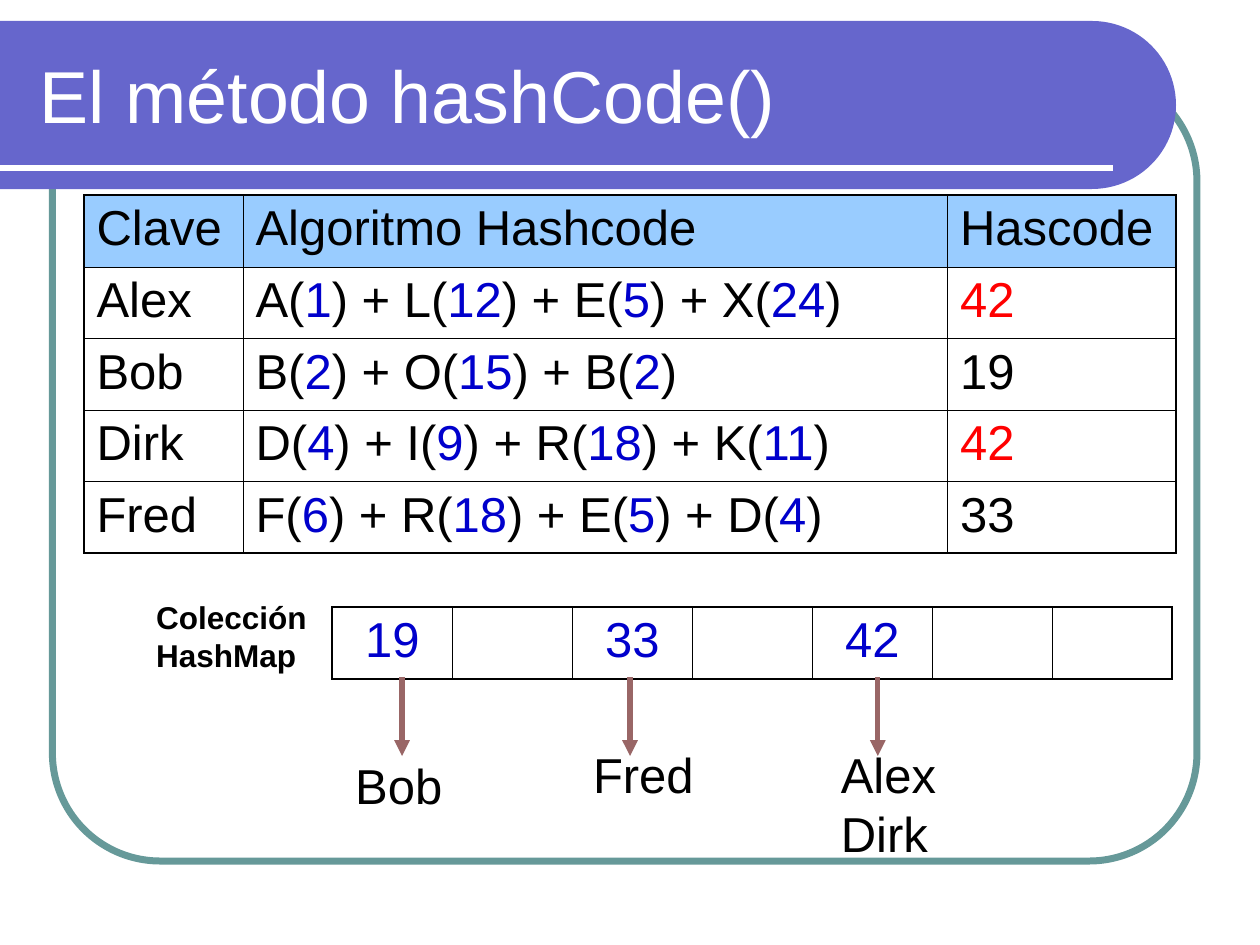
import itertools
import math

import pptx
import pptx.dml.color
import pptx.enum.shapes
import pptx.enum.text
import pptx.oxml
import pptx.oxml.ns
import pptx.util

COLS, ROWS = 120, 90
SHAPE = pptx.enum.shapes.MSO_SHAPE
ALIGN = pptx.enum.text.PP_ALIGN
FIT = pptx.enum.text.MSO_AUTO_SIZE
NS = pptx.oxml.ns.nsdecls("a")


def tint(code):
    return pptx.dml.color.RGBColor.from_string(code)


def write(frame, text, size=28, color="000000", digit=None, bold=False,
          align=ALIGN.LEFT):
    """Fill a text frame; digits take their own colour if one is given."""
    for i, line in enumerate(text.split("\n")):
        para = frame.add_paragraph() if i else frame.paragraphs[0]
        para.alignment = align
        parts = itertools.groupby(line, str.isdigit) if digit else [(False, line)]
        for number, chars in parts:
            run = para.add_run()
            run.text = "".join(chars)
            font = run.font
            font.name, font.size, font.bold = "Arial", pptx.util.Pt(size), bold
            font.color.rgb = tint(digit if number else color)


class Deck:
    ink, blue, red = "000000", "0000CC", "FF0000"
    band, frame, head, arrow = "6666CC", "669999", "99CCFF", "996666"
    thin, thick = 0.45, 1.08

    def __init__(self):
        self.show = pptx.Presentation()
        self.show.slide_width = pptx.util.Inches(10)
        self.show.slide_height = pptx.util.Inches(7.5)
        self.slide = self.show.slides.add_slide(self.show.slide_layouts[5])
        self.shapes = self.slide.shapes

    def x(self, col):
        return round(self.show.slide_width * col / COLS)

    def y(self, row):
        return round(self.show.slide_height * row / ROWS)

    def box(self, col, row, wide, high):
        return self.x(col), self.y(row), self.x(wide), self.y(high)

    def border(self, *area, round_by):
        shape = self.shapes.add_shape(SHAPE.ROUNDED_RECTANGLE, *self.box(*area))
        shape.adjustments[0] = round_by
        shape.shadow.inherit = False
        shape.fill.background()
        shape.line.color.rgb = tint(self.frame)
        shape.line.width = pptx.util.Pt(4)

    def banner(self, top, wide, high, steps=48):
        """Band from the left edge, ending in a half circle."""
        rad = high / 2
        turns = [math.pi * (i / steps - 0.5) for i in range(steps + 1)]
        arc = [(self.x(wide - rad + rad * math.cos(t)),
                self.y(top + rad + rad * math.sin(t))) for t in turns]
        path = self.shapes.build_freeform(0, self.y(top))
        path.add_line_segments(arc + [(0, self.y(top + high))], close=True)
        shape = path.convert_to_shape()
        shape.shadow.inherit = False
        shape.fill.solid()
        shape.fill.fore_color.rgb = tint(self.band)
        shape.line.fill.background()

    def line(self, x1, y1, x2, y2, color, arrow=False):
        link = self.shapes.add_connector(
            pptx.enum.shapes.MSO_CONNECTOR.STRAIGHT,
            self.x(x1), self.y(y1), self.x(x2), self.y(y2))
        link.line.color.rgb = tint(color)
        link.line.width = pptx.util.Pt(3)
        if arrow:
            link.line._get_or_add_ln().append(
                pptx.oxml.parse_xml(f'<a:tailEnd {NS} type="triangle"/>'))
        link._element.spPr.append(pptx.oxml.parse_xml(f"<a:effectLst {NS}/>"))

    def title(self, text, *area):
        shape = self.shapes.title
        shape.left, shape.top, shape.width, shape.height = self.box(*area)
        self.shapes._spTree.append(shape._element)
        frame = shape.text_frame
        frame.auto_size = FIT.NONE
        frame.vertical_anchor = pptx.enum.text.MSO_ANCHOR.MIDDLE
        write(frame, text, size=42, color="FFFFFF")

    def label(self, text, *area, **form):
        frame = self.shapes.add_textbox(*self.box(*area)).text_frame
        frame.word_wrap = False
        frame.auto_size = FIT.SHAPE_TO_FIT_TEXT
        write(frame, text, **form)

    def edges(self, cell, outer):
        """Thick lines on the sides named in outer, thin on the others."""
        for side in "LRTB":
            width = pptx.util.Pt(self.thick if side in outer else self.thin)
            cell._tc.get_or_add_tcPr().append(pptx.oxml.parse_xml(
                f'<a:ln{side} {NS} w="{int(width)}"><a:solidFill>'
                f'<a:srgbClr val="{self.ink}"/></a:solidFill></a:ln{side}>'))

    def table(self, data, left, top, widths, high, form, head=False):
        """form(row, col, text) gives the format of each cell's text."""
        rows, cols = len(data), len(widths)
        table = self.shapes.add_table(rows, cols, *self.box(
            left, top, sum(widths), high * rows)).table
        table.first_row = table.horz_banding = False
        for c, wide in enumerate(widths):
            table.columns[c].width = self.x(wide)
        for r, texts in enumerate(data):
            table.rows[r].height = self.y(high)
            for c, text in enumerate(texts):
                cell = table.cell(r, c)
                self.edges(cell, "L" * (c == 0) + "R" * (c == cols - 1)
                           + "T" * (r == 0) + "B" * (r == rows - 1))
                if head and r == 0:
                    cell.fill.solid()
                    cell.fill.fore_color.rgb = tint(self.head)
                else:
                    cell.fill.background()
                if text:
                    write(cell.text_frame, text, **form(r, c, text))


def main():
    deck = Deck()

    # Frame, banner and title
    deck.border(5, 7, 109, 75, round_by=0.137)
    deck.banner(2, 112, 16)
    deck.line(0, 16, 106, 16, "FFFFFF")
    deck.title("El método hashCode()", 2.6, 3, 105.2, 12)

    # Hash codes by key; the clashing code is red
    def tone(row, col, text):
        return {"digit": deck.blue if col == 1 else None,
                "color": deck.red if text == "42" else deck.ink}

    codes = [
        ("Clave", "Algoritmo Hashcode", "Hascode"),
        ("Alex", "A(1) + L(12) + E(5) + X(24)", "42"),
        ("Bob", "B(2) + O(15) + B(2)", "19"),
        ("Dirk", "D(4) + I(9) + R(18) + K(11)", "42"),
        ("Fred", "F(6) + R(18) + E(5) + D(4)", "33"),
    ]
    deck.table(codes, 8, 18.6, [15.15, 67.1, 21.75], 6.82, tone, head=True)

    # Buckets of the map
    slots = ["19", "", "33", "", "42", "", ""]
    deck.table([slots], 31.65, 57.8, [80 / len(slots)] * len(slots), 6.85,
               lambda *_: {"color": deck.blue, "align": ALIGN.CENTER})
    deck.label("Colección\nHashMap", 13.7, 56.35, 17.5, 8.4, size=18, bold=True)

    # Keys held in each bucket
    for text, left, top, wide, high, mid in [
            ("Bob", 32.65, 71.35, 10.8, 6.8, 38.3),
            ("Fred", 55.3, 70.35, 12.1, 6.8, 60),
            ("Alex\nDirk", 78.9, 70.35, 11.7, 12.5, 83.6)]:
        deck.label(text, left, top, wide, high)
        deck.line(mid, 64.5, mid, 72, deck.arrow, arrow=True)

    deck.show.save("out.pptx")


if __name__ == "__main__":
    main()
